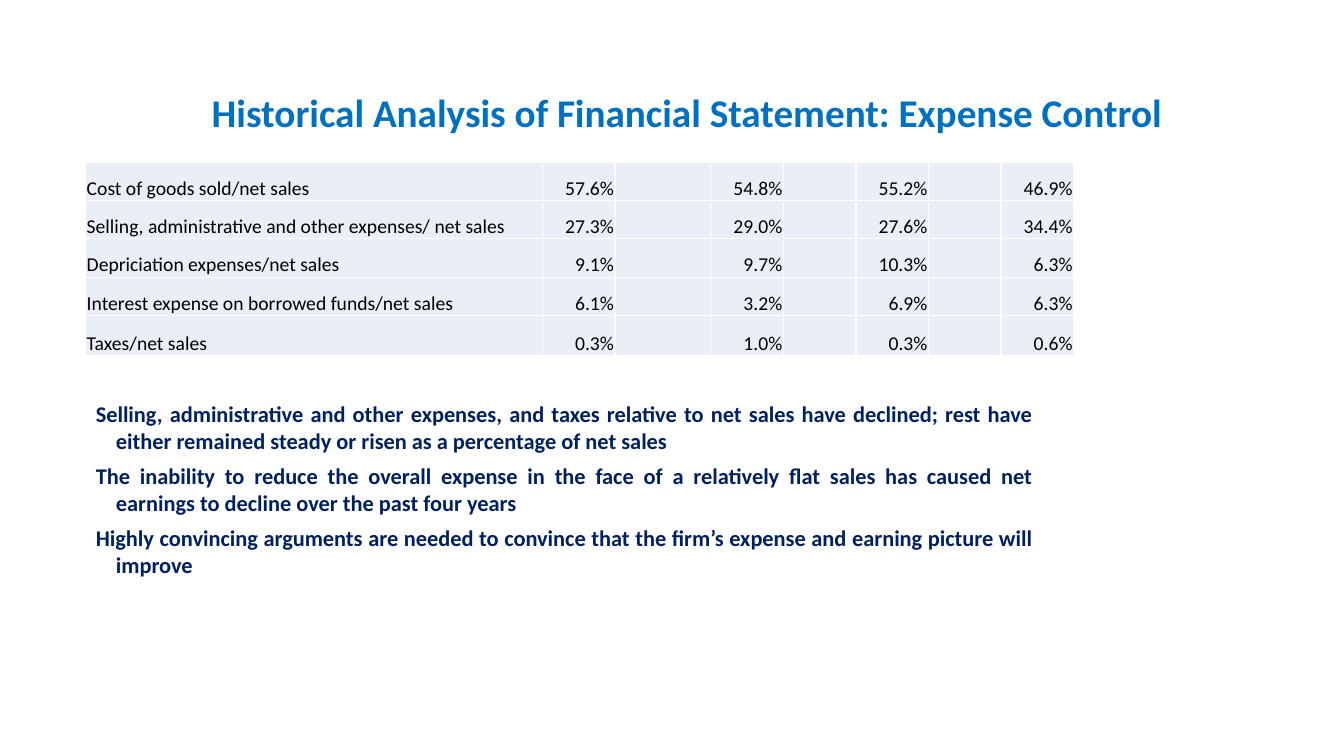
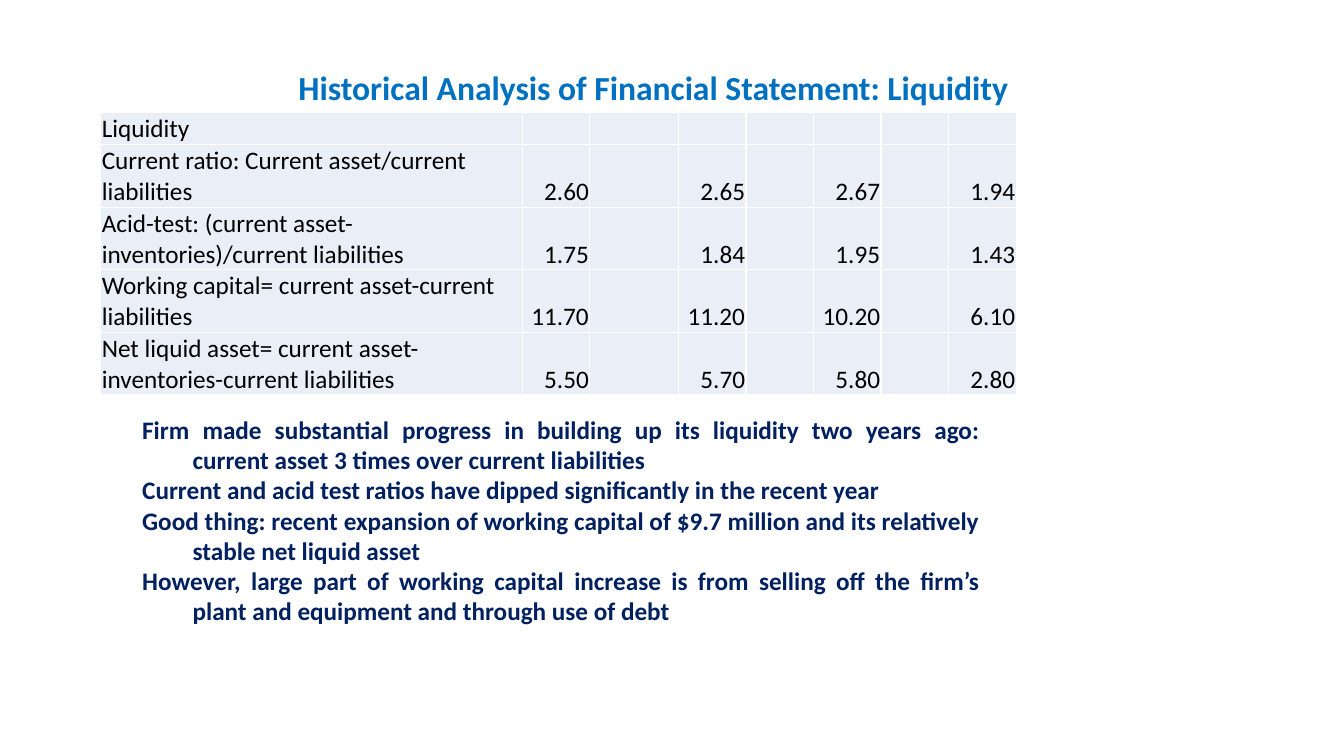
from dataclasses import dataclass

from pptx import Presentation
from pptx import util as u
from pptx.dml.color import RGBColor
from pptx.enum import text
from pptx.oxml import ns
from pptx.oxml import xmlchemy

PX = u.Inches(1) // 100
SLIDE_WIDTH, SLIDE_HEIGHT = 1333, 750


@dataclass(frozen=True)
class Theme:
    font: str = "Calibri"
    title_color: RGBColor = RGBColor(0x00, 0x70, 0xC0)
    body_color: RGBColor = RGBColor(0x00, 0x20, 0x60)
    cell_text: RGBColor = RGBColor(0x00, 0x00, 0x00)
    cell_fill: RGBColor = RGBColor(0xEA, 0xEF, 0xF7)
    border: RGBColor = RGBColor(0xFF, 0xFF, 0xFF)
    border_width: int = 1
    wide_title: int = 24
    large_title: int = 28
    small: int = 14
    medium: int = 16
    large: int = 18


THEME = Theme()


@dataclass(frozen=True)
class Box:
    left: int
    top: int
    width: int
    height: int


@dataclass(frozen=True)
class Title:
    wording: str
    box: Box
    size: int


@dataclass(frozen=True)
class RatioTable:
    """Ratios by year; a narrow empty column separates the years."""
    left: int
    top: int
    label_width: int
    value_width: int
    first_gap: int
    row_heights: list[int]
    size: int
    rows: list[tuple[str, ...]]


@dataclass(frozen=True)
class Findings:
    box: Box
    size: int
    margin: int
    hanging: int
    space_before: int
    lines: list[str]


@dataclass(frozen=True)
class RatioSlide:
    title: Title
    table: RatioTable
    findings: Findings


SLIDES = [
    RatioSlide(
        Title("Historical Analysis of Financial Statement: Expense Control",
              Box(200, 83, 974, 57), THEME.large_title),
        RatioTable(85, 161, 453, 72, 95, [38, 38, 38, 38, 40], THEME.small, [
            ("Cost of goods sold/net sales", "57.6%", "54.8%", "55.2%", "46.9%"),
            ("Selling, administrative and other expenses/ net sales",
             "27.3%", "29.0%", "27.6%", "34.4%"),
            ("Depriciation expenses/net sales", "9.1%", "9.7%", "10.3%", "6.3%"),
            ("Interest expense on borrowed funds/net sales",
             "6.1%", "3.2%", "6.9%", "6.3%"),
            ("Taxes/net sales", "0.3%", "1.0%", "0.3%", "0.6%"),
        ]),
        Findings(Box(85, 392, 950, 188), THEME.medium, 20, 20, 6, [
            "Selling, administrative and other expenses, and taxes relative to net "
            "sales have declined; rest have either remained steady or risen as a "
            "percentage of net sales",
            "The inability to reduce the overall expense in the face of a relatively "
            "flat sales has caused net earnings to decline over the past four years",
            "Highly convincing arguments are needed to convince that the firm’s "
            "expense and earning picture will improve",
        ]),
    ),
    RatioSlide(
        Title("Historical Analysis of Financial Statement: Liquidity",
              Box(286, 61, 731, 50), THEME.wide_title),
        RatioTable(100, 112, 418, 67, 88, [31, 62, 62, 62, 62], THEME.large, [
            ("Liquidity",),
            ("Current ratio: Current asset/current liabilities",
             "2.60", "2.65", "2.67", "1.94"),
            ("Acid-test: (current asset- inventories)/current liabilities",
             "1.75", "1.84", "1.95", "1.43"),
            ("Working capital= current asset-current liabilities",
             "11.70", "11.20", "10.20", "6.10"),
            ("Net liquid asset= current asset-inventories-current liabilities",
             "5.50", "5.70", "5.80", "2.80"),
        ]),
        Findings(Box(82, 406, 900, 222), THEME.large, 99, 50, 0, [
            "Firm made substantial progress in building up its liquidity two years "
            "ago: current asset 3 times over current liabilities",
            "Current and acid test ratios have dipped significantly in the recent year",
            "Good thing: recent expansion of working capital of $9.7 million and its "
            "relatively stable net liquid asset",
            "However, large part of working capital increase is from selling off the "
            "firm’s plant and equipment and through use of debt",
        ]),
    ),
]


def place(shape, box: Box) -> None:
    shape.left, shape.top = box.left * PX, box.top * PX
    shape.width, shape.height = box.width * PX, box.height * PX
    shape.text_frame.auto_size = text.MSO_AUTO_SIZE.NONE
    shape.text_frame.vertical_anchor = text.MSO_ANCHOR.TOP


def add_run(paragraph, wording: str, size: int, color: RGBColor, bold: bool) -> None:
    run = paragraph.add_run()
    run.text = wording
    run.font.name = THEME.font
    run.font.size = u.Pt(size)
    run.font.bold = bold
    run.font.color.rgb = color


def add_child(parent, tag: str, **attributes: str) -> xmlchemy.BaseOxmlElement:
    child = parent.makeelement(ns.qn(tag), attributes)
    parent.append(child)
    return child


def fill_title(shape, title: Title) -> None:
    place(shape, title.box)
    shape.text_frame.word_wrap = False
    paragraph = shape.text_frame.paragraphs[0]
    paragraph.alignment = text.PP_ALIGN.LEFT
    add_run(paragraph, title.wording, title.size, THEME.title_color, True)


def fill_findings(shape, findings: Findings) -> None:
    place(shape, findings.box)
    frame = shape.text_frame
    frame.word_wrap = True
    for index, line in enumerate(findings.lines):
        paragraph = frame.add_paragraph() if index else frame.paragraphs[0]
        paragraph.alignment = text.PP_ALIGN.JUSTIFY
        paragraph.space_before = u.Pt(findings.space_before)
        properties = paragraph._p.get_or_add_pPr()
        properties.set("marL", str(findings.margin * PX))
        properties.set("indent", str(-findings.hanging * PX))
        add_child(properties, "a:buNone")
        add_run(paragraph, line, findings.size, THEME.body_color, True)


def format_cell(cell) -> None:
    """Give a cell its borders, fill, tight margins and bottom anchor."""
    cell.margin_left = cell.margin_right = cell.margin_top = PX
    cell.margin_bottom = 0
    cell.vertical_anchor = text.MSO_ANCHOR.BOTTOM
    properties = cell._tc.get_or_add_tcPr()
    for side in ("a:lnL", "a:lnR", "a:lnT", "a:lnB"):
        line = add_child(properties, side, w=str(u.Pt(THEME.border_width)))
        add_child(add_child(line, "a:solidFill"), "a:srgbClr", val=str(THEME.border))
    cell.fill.solid()
    cell.fill.fore_color.rgb = THEME.cell_fill


def add_ratio_table(slide, ratios: RatioTable) -> None:
    widths = [ratios.label_width, ratios.value_width, ratios.first_gap]
    widths += [ratios.value_width] * 5
    table = slide.shapes.add_table(
        len(ratios.rows), len(widths), ratios.left * PX, ratios.top * PX,
        sum(widths) * PX, sum(ratios.row_heights) * PX).table
    table.first_row = table.horz_banding = False
    for column, width in zip(table.columns, widths):
        column.width = width * PX
    for row, height in zip(table.rows, ratios.row_heights):
        row.height = height * PX
    for cell in table.iter_cells():
        format_cell(cell)
    for row_index, entries in enumerate(ratios.rows):
        for index, entry in enumerate(entries):
            column_index = max(0, 2 * index - 1)
            paragraph = table.cell(row_index, column_index).text_frame.paragraphs[0]
            paragraph.alignment = text.PP_ALIGN.RIGHT if index else text.PP_ALIGN.LEFT
            add_run(paragraph, entry, ratios.size, THEME.cell_text, False)


def main() -> None:
    presentation = Presentation()
    presentation.slide_width = SLIDE_WIDTH * PX
    presentation.slide_height = SLIDE_HEIGHT * PX
    title_and_content = presentation.slide_layouts[1]
    for content in SLIDES:
        slide = presentation.slides.add_slide(title_and_content)
        fill_title(slide.shapes.title, content.title)
        fill_findings(slide.placeholders[1], content.findings)
        add_ratio_table(slide, content.table)
    presentation.save("out.pptx")


if __name__ == "__main__":
    main()
